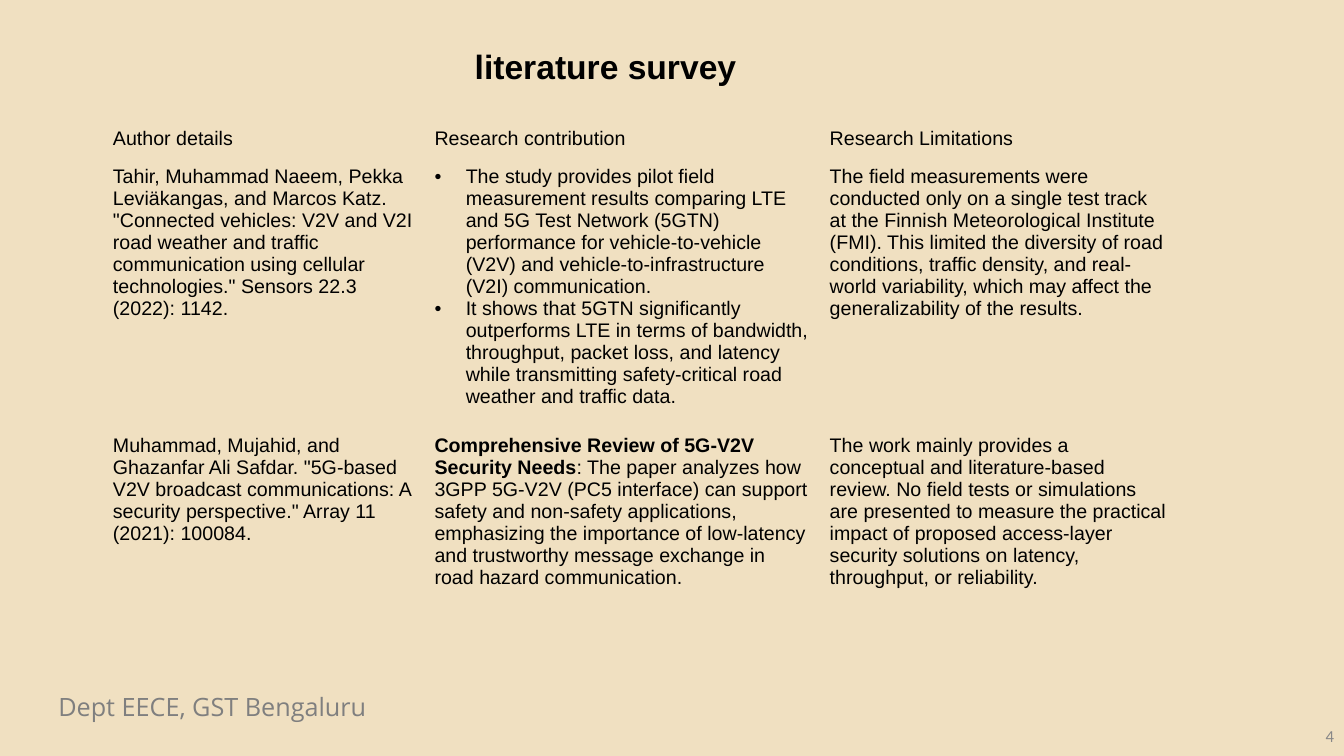
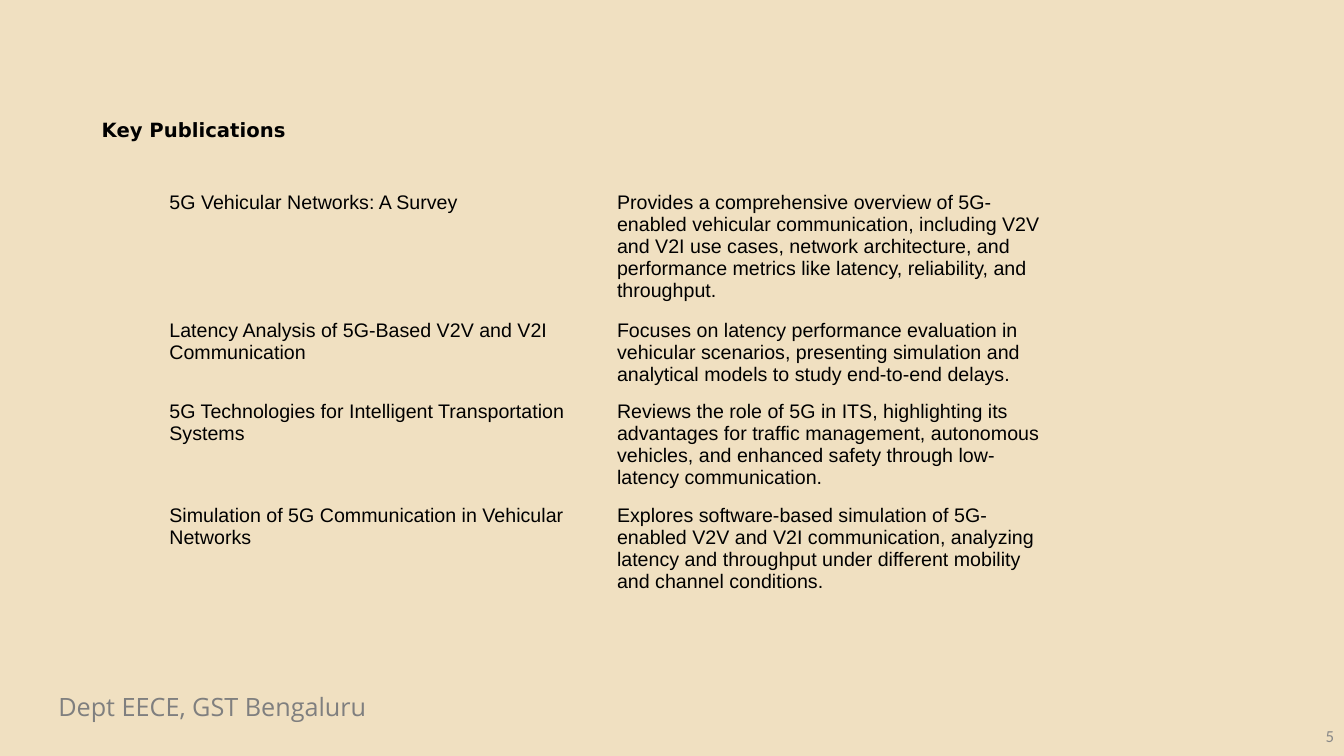
import pptx
import pptx.util
import pptx.dml.color
import pptx.enum.text
import pptx.oxml
import pptx.oxml.ns
from pptx.util import Inches

COLORS = {"background": "F0E0C1", "text": "000000", "footer": "7F7F7F", "number": "888888"}
NO_STYLE = "{2D5ABB26-0587-4C30-8999-92F81FD0307C}"
DRAWING = 'xmlns:a="http://schemas.openxmlformats.org/drawingml/2006/main"'
FOOTER = "Dept EECE, GST Bengaluru"

SURVEY = [
    ["Author details", "Research contribution", "Research Limitations"],
    ["Tahir, Muhammad Naeem, Pekka Leviäkangas, and Marcos Katz. \"Connected vehicles: V2V and V2I "
     "road weather and traffic communication using cellular technologies.\" Sensors 22.3 (2022): 1142.",
     "The study provides pilot field measurement results comparing LTE and 5G Test Network (5GTN) "
     "performance for vehicle-to-vehicle (V2V) and vehicle-to-infrastructure (V2I) communication.\n"
     "It shows that 5GTN significantly outperforms LTE in terms of bandwidth, throughput, packet loss, "
     "and latency while transmitting safety-critical road weather and traffic data.",
     "The field measurements were conducted only on a single test track at the Finnish Meteorological "
     "Institute (FMI). This limited the diversity of road conditions, traffic density, and real-world "
     "variability, which may affect the generalizability of the results."],
    ["Muhammad, Mujahid, and Ghazanfar Ali Safdar. \"5G-based V2V broadcast communications: "
     "A security perspective.\" Array 11 (2021): 100084.",
     "Comprehensive Review of 5G-V2V Security Needs",
     "The work mainly provides a conceptual and literature-based review. No field tests or simulations "
     "are presented to measure the practical impact of proposed access-layer security solutions on "
     "latency, throughput, or reliability."],
]
REVIEW_DETAIL = (
    ": The paper analyzes how 3GPP 5G-V2V (PC5 interface) can support safety and non-safety "
    "applications, emphasizing the importance of low-latency and trustworthy message exchange in "
    "road hazard communication.")

PUBLICATIONS = [
    ["5G Vehicular Networks: A Survey",
     "Provides a comprehensive overview of 5G-enabled vehicular communication, including V2V and V2I "
     "use cases, network architecture, and performance metrics like latency, reliability, and throughput."],
    ["Latency Analysis of 5G-Based V2V and V2I Communication",
     "Focuses on latency performance evaluation in vehicular scenarios, presenting simulation and "
     "analytical models to study end-to-end delays."],
    ["5G Technologies for Intelligent Transportation Systems",
     "Reviews the role of 5G in ITS, highlighting its advantages for traffic management, autonomous "
     "vehicles, and enhanced safety through low-latency communication."],
    ["Simulation of 5G Communication in Vehicular Networks",
     "Explores software-based simulation of 5G-enabled V2V and V2I communication, analyzing latency and "
     "throughput under different mobility and channel conditions."],
]

SLIDES = [
    {"number": "4", "title": "literature survey", "title_at": (4.61, 0.41, 2.82, 0.5),
     "title_size": 24, "title_font": "Arial", "rows": SURVEY, "table_at": (1.02, 1.22),
     "widths": [3.19, 3.92, 3.55], "heights": [0.37, 2.67, 1.73]},
    {"number": "5", "title": "Key Publications", "title_at": (0.91, 1.12, 2.09, 0.57),
     "title_size": 14, "title_font": "DejaVu Sans", "rows": PUBLICATIONS, "table_at": (1.58, 1.85),
     "widths": [4.44, 4.44], "heights": [1.27, 0.8, 1.03, 1.03]},
]


def style(tf, size, font="Arial", color="text"):
    for p in tf.paragraphs:
        for r in p.runs:
            r.font.size = pptx.util.Pt(size)
            r.font.name = font
            r.font.color.rgb = pptx.dml.color.RGBColor.from_string(COLORS[color])


def add_text(s, text, at, size, font, color="text", wrap=True):
    tf = s.shapes.add_textbox(*[Inches(v) for v in at]).text_frame
    tf.word_wrap = wrap
    tf.text = text
    style(tf, size, font, color)
    return tf


prs = pptx.Presentation()
prs.slide_width = Inches(13.33)
prs.slide_height = Inches(7.5)
fill = prs.slide_master.background.fill
fill.solid()
fill.fore_color.rgb = pptx.dml.color.RGBColor.from_string(COLORS["background"])

for page in SLIDES:
    s = prs.slides.add_slide(prs.slide_layouts[6])
    add_text(s, FOOTER, (0.48, 6.81, 5.24, 0.4), 18, "Open Sans", "footer")
    tf = add_text(s, page["number"], (10.33, 7.1, 3, 0.4), 12, "Calibri", "number")
    tf.vertical_anchor = pptx.enum.text.MSO_ANCHOR.MIDDLE
    tf.paragraphs[0].alignment = pptx.enum.text.PP_ALIGN.RIGHT
    tf = add_text(s, page["title"], page["title_at"], page["title_size"], page["title_font"], wrap=False)
    tf.paragraphs[0].runs[0].font.bold = True

    rows, widths, heights = page["rows"], page["widths"], page["heights"]
    left, top = page["table_at"]
    table = s.shapes.add_table(len(rows), len(widths), Inches(left), Inches(top),
                               Inches(sum(widths)), Inches(sum(heights))).table
    table.first_row = False
    table.horz_banding = False
    table._tbl.tblPr.find(pptx.oxml.ns.qn("a:tableStyleId")).text = NO_STYLE
    for column, width in zip(table.columns, widths):
        column.width = Inches(width)
    for i, (row, height) in enumerate(zip(rows, heights)):
        table.rows[i].height = Inches(height)
        for j, text in enumerate(row):
            cell = table.cell(i, j)
            cell.fill.background()
            tf = cell.text_frame
            tf.text = text
            if text == SURVEY[2][1]:
                p = tf.paragraphs[0]
                p.runs[0].font.bold = True
                p.add_run().text = REVIEW_DETAIL
            style(tf, 14)
            if len(tf.paragraphs) > 1:
                for p in tf.paragraphs:
                    pPr = p._p.get_or_add_pPr()
                    pPr.set("marL", str(Inches(0.31)))
                    pPr.set("indent", str(-Inches(0.31)))
                    for bullet in ('buFont {} typeface="Arial"', 'buChar {} char="•"'):
                        pPr.append(pptx.oxml.parse_xml(f"<a:{bullet.format(DRAWING)}/>"))

prs.save("out.pptx")
